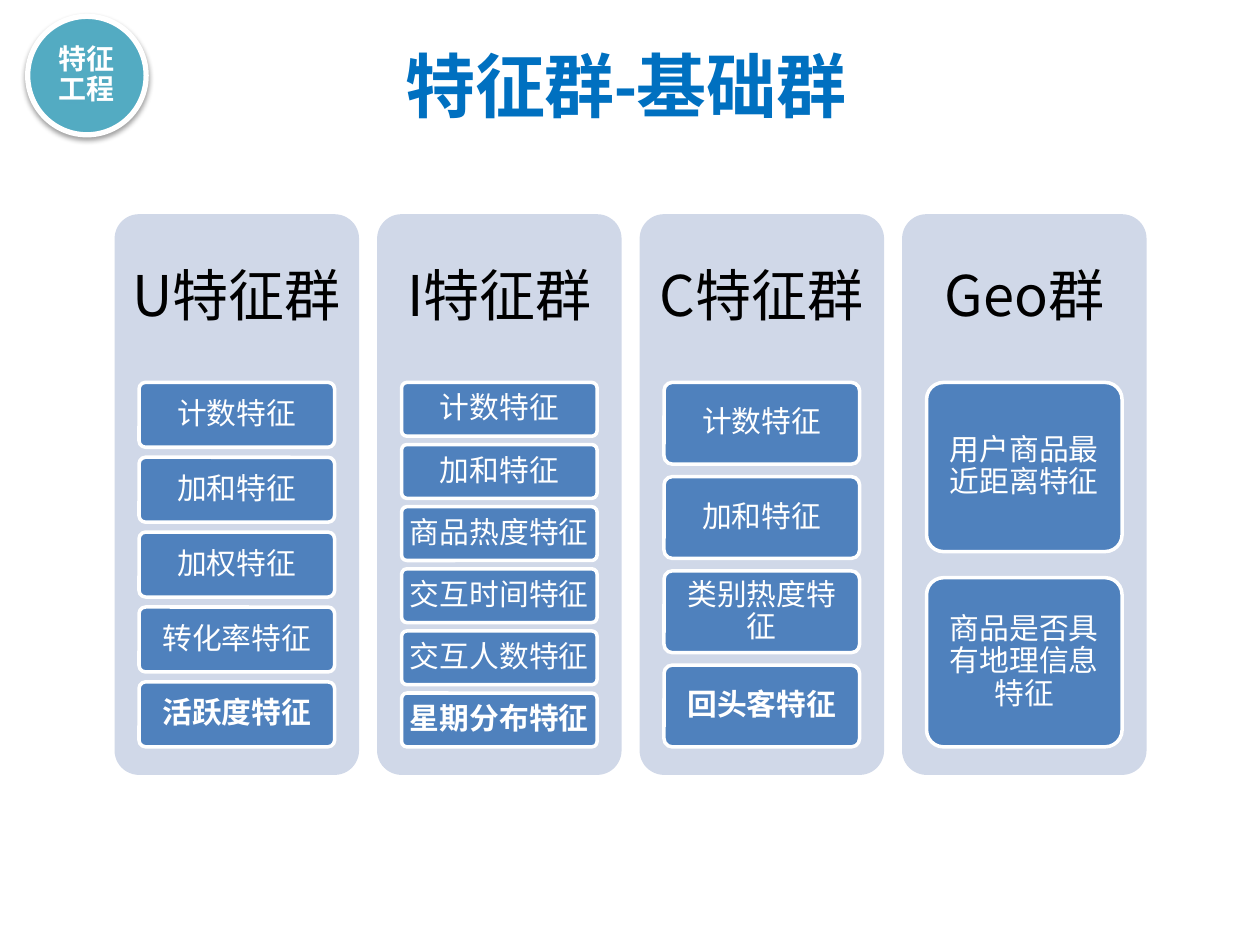
from lxml.etree import SubElement
from pptx import Presentation
from pptx.dml.color import RGBColor
from pptx.enum.shapes import MSO_SHAPE as Shape
from pptx.enum.text import MSO_ANCHOR as Anchor, MSO_AUTO_SIZE as AutoSize, PP_ALIGN as Align
from pptx.oxml.ns import qn
from pptx.util import Inches, Pt

CJK_FONT = "Noto Sans CJK SC"
BADGE_BOX = (0.22, 0.13, 0.94, 0.94)
TITLE_BOX = (3.09, 0.29, 3.75, 0.77)
COLUMNS_BOX = (0.91, 1.7, 8.19, 4.45)
COLUMN_WIDTH = 1.94
GROUPS = [
    ("U特征群", ["计数特征", "加和特征", "加权特征", "转化率特征", "活跃度特征"]),
    ("I特征群", ["计数特征", "加和特征", "商品热度特征", "交互时间特征",
              "交互人数特征", "星期分布特征"]),
    ("C特征群", ["计数特征", "加和特征", "类别热度特征", "回头客特征"]),
    ("Geo群", ["用户商品最近距离特征", "商品是否具有地理信息特征"]),
]
BOLD_FEATURES = {"活跃度特征", "星期分布特征", "回头客特征"}


def color(hex_text):
    """Return the colour for a hex string."""
    return RGBColor.from_string(hex_text)


def lengths(box):
    """Return a box of inches as slide lengths."""
    return [Inches(value) for value in box]


def write(shape, text, size, hex_text, bold=False, font=CJK_FONT,
          margins=(0.1, 0.05), anchor=Anchor.MIDDLE, spacing=0.9):
    """Write one centred, wrapped paragraph into a shape."""
    frame = shape.text_frame
    frame.word_wrap = True
    frame.auto_size = AutoSize.NONE
    frame.vertical_anchor = anchor
    frame.margin_left = frame.margin_right = Inches(margins[0])
    frame.margin_top = frame.margin_bottom = Inches(margins[1])
    paragraph = frame.paragraphs[0]
    paragraph.alignment = Align.CENTER
    paragraph.line_spacing = spacing
    run = paragraph.add_run()
    run.text = text
    run.font.size = Pt(size)
    run.font.bold = bold
    run.font.name = font
    run.font.color.rgb = color(hex_text)
    SubElement(run.font._element, qn("a:ea"), typeface=CJK_FONT)


def add_filled(slide, kind, box, fill, line_width=0):
    """Add a flat shape with an optional white outline."""
    shape = slide.shapes.add_shape(kind, *lengths(box))
    shape.shadow.inherit = False
    shape.fill.solid()
    shape.fill.fore_color.rgb = color(fill)
    if line_width:
        shape.line.color.rgb = color("FFFFFF")
        shape.line.width = Pt(line_width)
    else:
        shape.line.fill.background()
    if kind == Shape.ROUNDED_RECTANGLE:
        shape.adjustments[0] = 0.1
    return shape


def add_badge(slide, box):
    """Add the round section badge with its soft shadow."""
    badge = add_filled(slide, Shape.OVAL, box, "4BACC6", 3)
    properties = badge._element.spPr
    fill = properties.find(qn("a:solidFill")).find(qn("a:srgbClr"))
    SubElement(fill, qn("a:alpha"), val="90000")
    effects = properties.find(qn("a:effectLst"))
    shadow = SubElement(effects, qn("a:outerShdw"), blurRad=str(Pt(3.1)),
                        dist=str(Pt(1.6)), dir="5400000", rotWithShape="0")
    shade = SubElement(shadow, qn("a:srgbClr"), val="000000")
    SubElement(shade, qn("a:alpha"), val="38000")
    write(badge, "特征工程", 16, "FFFFFF", True, margins=(0.02, 0.02))


def add_title(slide, box):
    """Place and format the title placeholder."""
    title = slide.shapes.title
    title.left, title.top, title.width, title.height = lengths(box)
    write(title, "特征群-基础群", 40, "0070C0", True, "Calibri",
          anchor=Anchor.TOP, spacing=1.0)


def add_column(slide, box, heading, features):
    """Add a panel with a heading and evenly stacked feature boxes."""
    left, top, width, height = box
    add_filled(slide, Shape.ROUNDED_RECTANGLE, box, "D0D8E8")
    heading_box = slide.shapes.add_textbox(*lengths((left, top, width, height * 0.3)))
    write(heading_box, heading, 32, "000000", margins=(0.13, 0.13))
    count = len(features)
    gap_ratio = 2 / 13
    item_height = height * 0.65 / (count + (count - 1) * gap_ratio)
    for index, feature in enumerate(features):
        item_top = top + height * 0.3 + index * item_height * (1 + gap_ratio)
        item = add_filled(slide, Shape.ROUNDED_RECTANGLE,
                          (left + width * 0.1, item_top, width * 0.8, item_height),
                          "4F81BD", 2)
        write(item, feature, 17, "FFFFFF", feature in BOLD_FEATURES,
              margins=(0.05, 0.04))


def add_columns(slide, box):
    """Spread the feature group columns evenly across the box."""
    left, top, width, height = box
    pitch = (width - COLUMN_WIDTH) / (len(GROUPS) - 1)
    for index, (heading, features) in enumerate(GROUPS):
        column_box = (left + index * pitch, top, COLUMN_WIDTH, height)
        add_column(slide, column_box, heading, features)


def main():
    """Build and save the slide."""
    presentation = Presentation()
    presentation.slide_width = Inches(10)
    presentation.slide_height = Inches(7.5)
    slide = presentation.slides.add_slide(presentation.slide_layouts[5])
    add_badge(slide, BADGE_BOX)
    add_title(slide, TITLE_BOX)
    add_columns(slide, COLUMNS_BOX)
    presentation.save("out.pptx")


if __name__ == "__main__":
    main()
